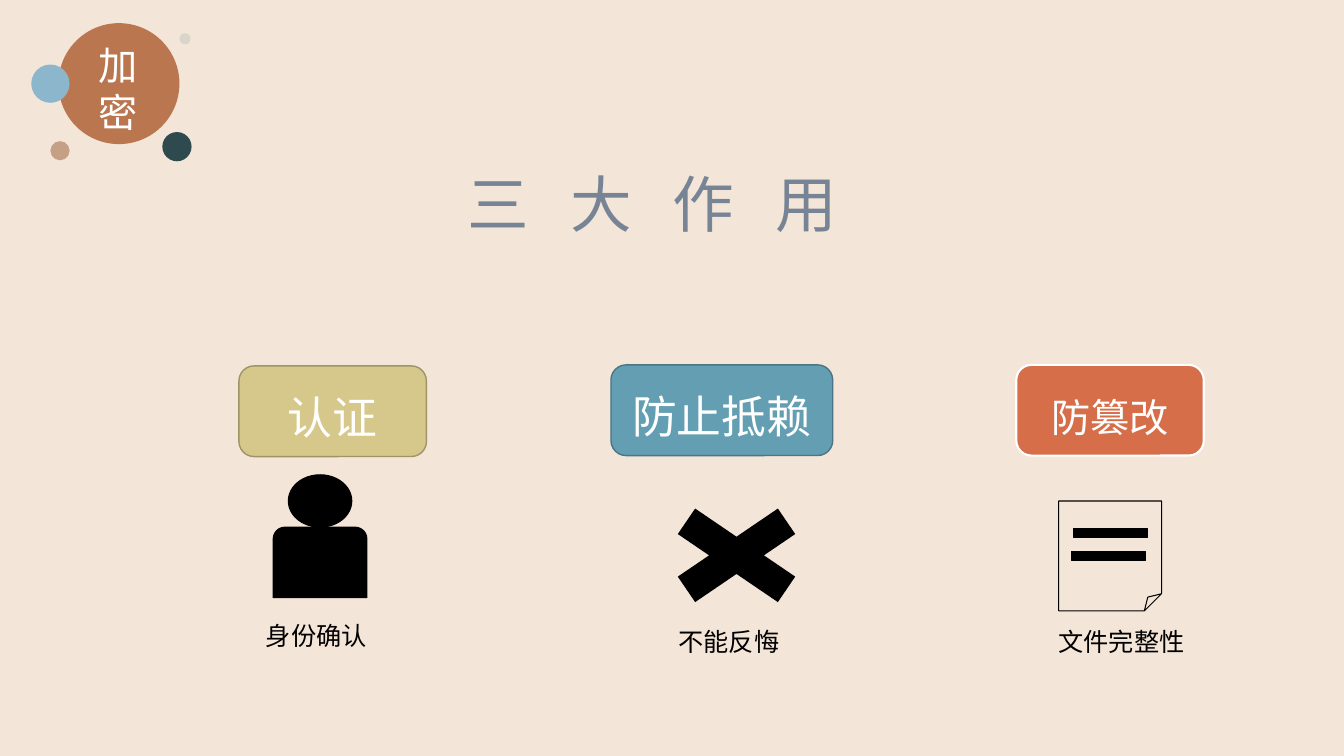
from dataclasses import dataclass

from lxml import etree
from pptx import Presentation
from pptx import util as u
from pptx.dml.color import RGBColor
from pptx.enum import shapes, text
from pptx.oxml import ns

SHAPE = shapes.MSO_SHAPE
ALIGN = text.PP_ALIGN
ANCHOR = text.MSO_ANCHOR
GROW = text.MSO_AUTO_SIZE.SHAPE_TO_FIT_TEXT


@dataclass(frozen=True)
class Theme:
    font: str = "Noto Sans CJK SC"
    paper: str = "F3E5D8"
    white: str = "FFFFFF"
    ink: str = "000000"
    title: str = "778495"
    clay: str = "BA764F"
    sky: str = "8BB6CB"
    tan: str = "C5A086"
    pine: str = "2E4A4E"
    mist: str = "D9D5CA"
    olive: str = "D6C88B"
    olive_edge: str = "9E9467"
    teal: str = "649EB2"
    teal_edge: str = "4A7584"
    coral: str = "D66E49"
    title_size: int = 44
    large: int = 32
    medium: int = 28
    small: int = 18
    hairline: float = 0.75


class Deck:
    """Holds the theme and current slide; lengths are grid columns and rows."""

    COLS, ROWS = 133.3, 75

    def __init__(self, theme):
        self.t = theme
        self.prs = Presentation()
        self.prs.slide_width = u.Inches(13.33)
        self.prs.slide_height = u.Inches(7.5)
        self.s = None

    def new_slide(self):
        self.s = self.prs.slides.add_slide(self.prs.slide_layouts[5])
        fill = self.s.background.fill
        fill.solid()
        fill.fore_color.rgb = RGBColor.from_string(self.t.paper)

    def box(self, x, y, w, h):
        col = self.prs.slide_width / self.COLS
        row = self.prs.slide_height / self.ROWS
        return [round(v) for v in (x * col, y * row, w * col, h * row)]

    def set_text(self, tf, lines, size, color, align=ALIGN.LEFT, spacing=None):
        for i, line in enumerate(lines):
            p = tf.paragraphs[0] if i == 0 else tf.add_paragraph()
            p.text = line
            p.alignment = align
            if spacing:
                p.line_spacing = spacing
            f = p.font
            f.size = u.Pt(size)
            f.bold = False
            f.color.rgb = RGBColor.from_string(color)
            f.name = self.t.font
            # East Asian glyphs need their own typeface element
            latin = f._element.find(ns.qn("a:latin"))
            ea = etree.Element(ns.qn("a:ea"), typeface=self.t.font)
            latin.addnext(ea)

    def title(self, line, at, tracking):
        sp = self.s.shapes.title
        sp.left, sp.top, sp.width, sp.height = self.box(*at)
        tf = sp.text_frame
        tf.word_wrap = True
        tf.auto_size = GROW
        tf.vertical_anchor = ANCHOR.TOP
        self.set_text(tf, [line], self.t.title_size, self.t.title)
        r = tf.paragraphs[0].runs[0]
        r._r.get_or_add_rPr().set("spc", str(round(tracking * 100)))

    def shape(self, kind, at, fill=None, line=None, weight=None):
        sp = self.s.shapes.add_shape(kind, *self.box(*at))
        sp.shadow.inherit = False
        if fill:
            sp.fill.solid()
            sp.fill.fore_color.rgb = RGBColor.from_string(fill)
        else:
            sp.fill.background()
        if line:
            sp.line.color.rgb = RGBColor.from_string(line)
            sp.line.width = u.Pt(weight or self.t.hairline)
        else:
            sp.line.fill.background()
        return sp

    def label(self, lines, at, size, color, align=ALIGN.LEFT, wrap=True):
        tf = self.s.shapes.add_textbox(*self.box(*at)).text_frame
        tf.word_wrap = wrap
        tf.auto_size = GROW
        self.set_text(tf, lines, size, color, align)

    def button(self, line, at, fill, edge, weight, size, spacing):
        tf = self.shape(SHAPE.ROUNDED_RECTANGLE, at, fill, edge, weight).text_frame
        tf.vertical_anchor = ANCHOR.MIDDLE
        self.set_text(tf, [line], size, self.t.white, ALIGN.CENTER, spacing)


def main():
    t = Theme()
    d = Deck(t)
    d.new_slide()

    # Corner badge: left, top, diameter, colour
    for x, y, size, color in (
        (5.8, 2.3, 12, t.clay),
        (3.1, 6.4, 3.8, t.sky),
        (5, 14, 1.9, t.tan),
        (16.1, 13.1, 2.9, t.pine),
        (17.8, 3.3, 1.1, t.mist),
    ):
        d.shape(SHAPE.OVAL, (x, y, size, size), color)
    d.label(["加", "密"], (8.8, 3.6, 5.9, 10.4), t.medium, t.white, ALIGN.CENTER, False)

    # Title
    d.title("三 大 作 用", (45.4, 16, 44.4, 8.4), tracking=9.7)

    # Three roles
    for name, at, *style in (
        ("认证", (23.7, 36.3, 18.6, 9), t.olive, t.olive_edge, 1, t.large, 1.2),
        ("防止抵赖", (60.6, 36.2, 22, 9), t.teal, t.teal_edge, 1, t.large, 1.2),
        ("防篡改", (100.8, 36.2, 18.6, 9), t.coral, t.white, 1.5, t.medium, 1.3),
    ):
        d.button(name, at, *style)

    # Icons: person, cross, document
    d.shape(SHAPE.FLOWCHART_CONNECTOR, (28.6, 47.1, 6.3, 5.2), t.ink, t.ink)
    d.shape(SHAPE.ROUND_2_SAME_RECTANGLE, (27.1, 52.3, 9.3, 7), t.ink, t.ink)
    d.shape(SHAPE.MATH_MULTIPLY, (63.5, 48.6, 19.1, 13), t.ink)
    d.shape(SHAPE.FOLDED_CORNER, (105, 49.7, 10.2, 10.9), None, t.ink)
    for x, y in ((105.2, 51), (105, 53.3)):
        d.shape(SHAPE.MATH_MINUS, (x, y, 9.9, 3.8), t.ink, t.ink)

    # Captions
    for line, x, y, w in (
        ("身份确认", 25.4, 61.1, 13.6),
        ("不能反悔", 66.3, 61.6, 14.1),
        ("文件完整性", 104, 61.6, 17.1),
    ):
        d.label([line], (x, y, w, 4), t.small, t.ink)

    d.prs.save("out.pptx")


if __name__ == "__main__":
    main()
